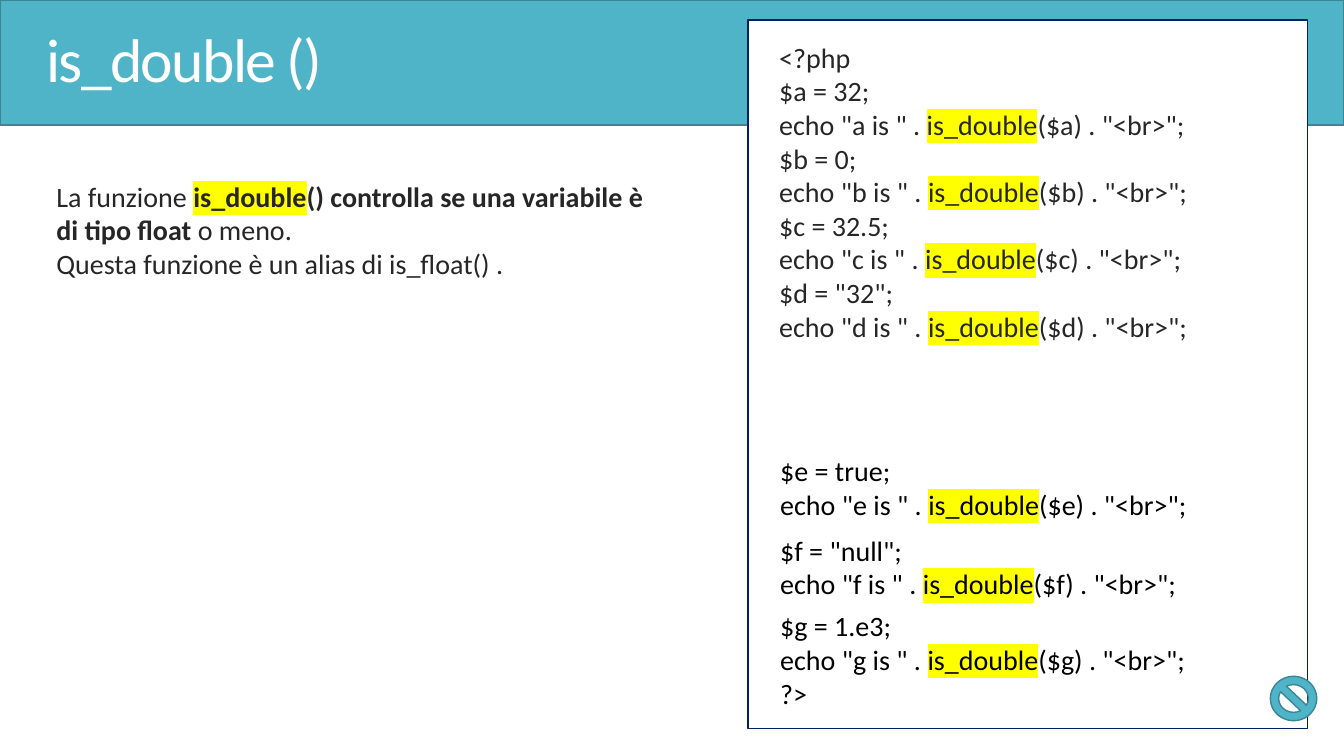
from lxml.etree import SubElement
from pptx import Presentation
from pptx.dml.color import RGBColor
from pptx.enum.shapes import MSO_SHAPE as Preset
from pptx.enum.text import MSO_ANCHOR as Anchor
from pptx.oxml.ns import qn
from pptx.util import Inches, Pt

COLORS = {
    "teal": "50B4C8", "teal_edge": "3B8594", "navy": "002060", "white": "FFFFFF",
    "dark": "262626", "black": "000000", "highlight": "FFFF00",
}
FUNCTION = "is_double"

presentation = Presentation()
presentation.slide_width = Inches(13.33)
presentation.slide_height = Inches(7.5)
slide = presentation.slides.add_slide(presentation.slide_layouts[6])


def add_panel(preset, place, fill, edge):
    shape = slide.shapes.add_shape(preset, *map(Inches, place))
    shape.shadow.inherit = False
    shape.fill.solid()
    shape.fill.fore_color.rgb = RGBColor.from_string(COLORS[fill])
    shape.line.color.rgb = RGBColor.from_string(COLORS[edge])
    shape.line.width = Pt(1)


def add_text(place, lines, color, size=20):
    """Each line is a sequence of run texts; the function name is highlighted."""
    frame = slide.shapes.add_textbox(*map(Inches, place)).text_frame
    frame.word_wrap = True
    for index, line in enumerate(lines):
        paragraph = frame.add_paragraph() if index else frame.paragraphs[0]
        paragraph.font.name = "Calibri"
        paragraph.font.size = Pt(size)
        paragraph.font.color.rgb = RGBColor.from_string(COLORS[color])
        for text in filter(None, line):
            run = paragraph.add_run()
            run.text = text
            if text == FUNCTION:
                highlight = SubElement(run._r.get_or_add_rPr(), qn("a:highlight"))
                SubElement(highlight, qn("a:srgbClr"), val=COLORS["highlight"])
    return frame


# Title band
add_panel(Preset.RECTANGLE, (0, 0, 13.33, 1.24), "teal", "teal_edge")
title = add_text((0.36, 0.13, 12.63, 1), [["is_double ()"]], "white", 44)
title.vertical_anchor = Anchor.MIDDLE
title.paragraphs[0].line_spacing = 0.85
title.paragraphs[0].runs[0]._r.get_or_add_rPr().set("spc", "-120")

# Description
description = add_text((0.46, 1.73, 6.21, 5.4), [
    ["La funzione ", FUNCTION, "() controlla se una variabile è di tipo float ", "o meno."],
    ["Questa funzione è un alias di is_float() ."],
], "dark")
for run in description.paragraphs[0].runs[1:3]:
    run.font.bold = True

# Code panel: each variable is assigned, then tested
add_panel(Preset.RECTANGLE, (7.42, 0.2, 5.55, 7.03), "white", "navy")
values = {"a": "32", "b": "0", "c": "32.5", "d": '"32"',
          "e": "true", "f": '"null"', "g": "1.e3"}
code = []
for name, value in values.items():
    code.append([f"${name} = {value};"])
    code.append(f'echo "{name} is " . {FUNCTION}(${name}) . "<br>";'.partition(FUNCTION))

add_text((7.63, 0.35, 5.7, 4.12), [["<?php"]] + code[:8], "dark")
closing = add_text((7.64, 4.45, 5.14, 2.66), code[8:] + [["?>"]], "black")
closing.paragraphs[2].space_before = Pt(9)
closing.paragraphs[4].space_before = Pt(6)

# Stop symbol
add_panel(Preset.NO_SYMBOL, (12.6, 6.71, 0.46, 0.44), "teal", "teal_edge")

presentation.save("out.pptx")
